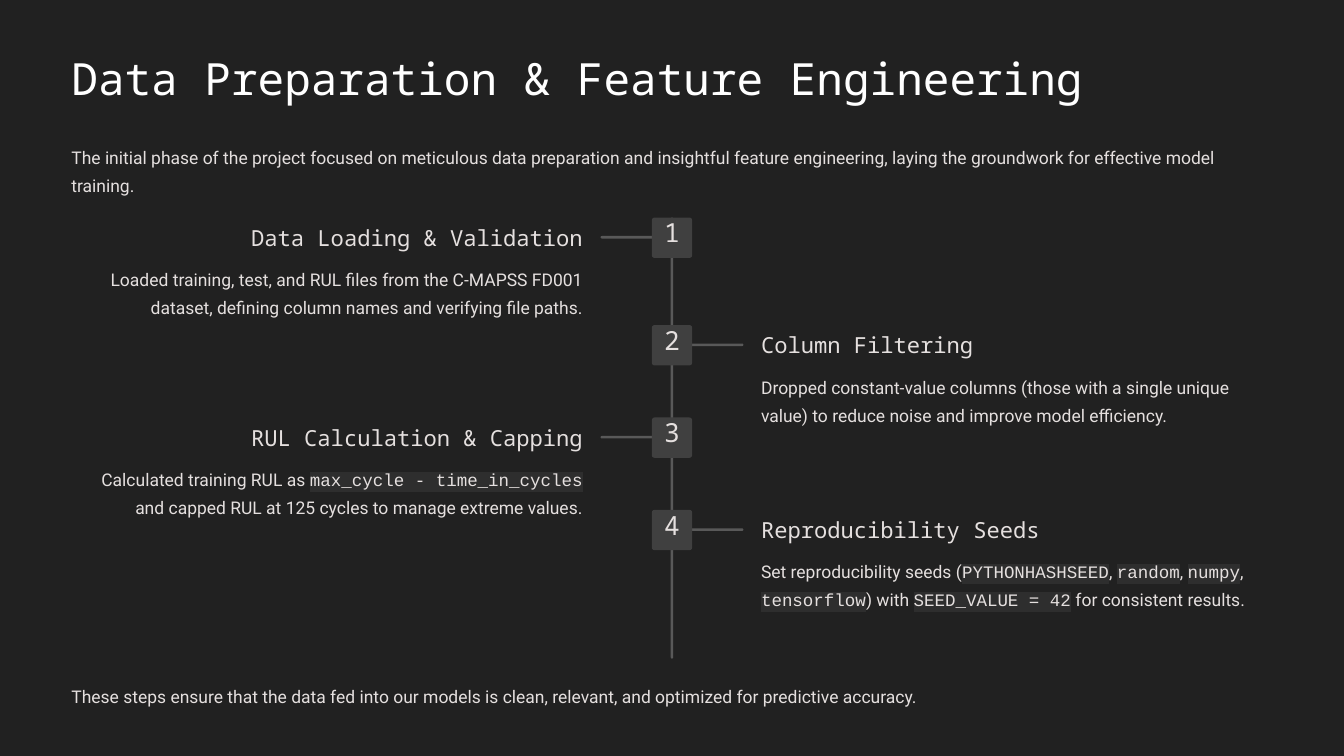
from lxml import etree
from pptx import Presentation
from pptx.dml.color import RGBColor
from pptx.enum.shapes import MSO_SHAPE
from pptx.enum.text import MSO_ANCHOR, MSO_AUTO_SIZE, PP_ALIGN
from pptx.oxml.ns import qn
from pptx.util import Inches, Pt

LEFT, CENTER, RIGHT = PP_ALIGN.LEFT, PP_ALIGN.CENTER, PP_ALIGN.RIGHT
TOP, NO_FIT = MSO_ANCHOR.TOP, MSO_AUTO_SIZE.NONE
ROUNDED = MSO_SHAPE.ROUNDED_RECTANGLE

COLORS = {"background": "212121", "title": "FFFFFF", "text": "E5E0DF",
          "line": "595959", "badge": "404040", "code": "2E2E2E"}
MONO, SANS, CODE = "Noto Sans Mono", "Roboto", "Courier New"

# Grid in inches: two columns mirrored about a central axis
WIDTH, HEIGHT = 16, 9
MARGIN = 0.85
CONTENT = WIDTH - 2 * MARGIN
COLUMN = 6.09
AXIS = WIDTH / 2
RIGHT_COLUMN = WIDTH - MARGIN - COLUMN
BADGE, BAR = 0.48, 0.03
STUB, STUB_GAP = 0.64, 0.21
SPINE_TOP, SPINE_LENGTH = 2.59, 5.25

# Top of each step, heading, description; backticks mark code
STEPS = [
    (2.59, "Data Loading & Validation",
     "Loaded training, test, and RUL files from the C-MAPSS FD001 dataset, "
     "defining column names and verifying file paths."),
    (3.87, "Column Filtering",
     "Dropped constant-value columns (those with a single unique value) "
     "to reduce noise and improve model efficiency."),
    (4.97, "RUL Calculation & Capping",
     "Calculated training RUL as `max_cycle - time_in_cycles` "
     "and capped RUL at 125 cycles to manage extreme values."),
    (6.07, "Reproducibility Seeds",
     "Set reproducibility seeds (`PYTHONHASHSEED`, `random`, `numpy`, "
     "`tensorflow`) with `SEED_VALUE = 42` for consistent results."),
]


def rgb(name):
    return RGBColor.from_string(COLORS[name])


def highlight(run, color):
    mark = etree.Element(qn("a:highlight"))
    etree.SubElement(mark, qn("a:srgbClr"), val=COLORS[color])
    run.font._rPr.find(qn("a:latin")).addprevious(mark)


def write(frame, text, font, size, spacing, align=LEFT, color="text", inset_top=0):
    frame.word_wrap = True
    frame.auto_size = NO_FIT
    frame.vertical_anchor = TOP
    frame.margin_left = frame.margin_right = frame.margin_bottom = 0
    frame.margin_top = Inches(inset_top)
    paragraph = frame.paragraphs[0]
    paragraph.alignment = align
    paragraph.line_spacing = Pt(spacing)
    for index, part in enumerate(text.split("`")):
        is_code = index % 2 == 1
        run = paragraph.add_run()
        run.text = part
        run.font.size = Pt(size)
        run.font.color.rgb = rgb(color)
        run.font.name = CODE if is_code else font
        if is_code:
            highlight(run, "code")


def add_text(slide, left, top, width, height, text, font, size, spacing, align=LEFT):
    box = slide.shapes.add_textbox(*map(Inches, (left, top, width, height)))
    write(box.text_frame, text, font, size, spacing, align)


def add_body(slide, left, top, width, height, text, align=LEFT):
    add_text(slide, left, top, width, height, text, SANS, 15, 24, align)


def add_block(slide, left, top, width, height, color, rounding):
    block = slide.shapes.add_shape(ROUNDED, *map(Inches, (left, top, width, height)))
    block.adjustments[0] = rounding
    block.shadow.inherit = False
    block.fill.solid()
    block.fill.fore_color.rgb = rgb(color)
    block.line.fill.background()
    return block


def add_title(slide, text):
    title = slide.shapes.title
    title.left, title.top = Inches(MARGIN), Inches(0.58)
    title.width, title.height = Inches(CONTENT), Inches(0.66)
    write(title.text_frame, text, MONO, 38, 47.5, color="title")


def add_step(slide, number, top, heading, description):
    # Odd steps sit left of the axis, even steps right
    if number % 2:
        column, align, stub = MARGIN, RIGHT, AXIS - STUB_GAP - STUB
    else:
        column, align, stub = RIGHT_COLUMN, LEFT, AXIS + STUB_GAP
    add_block(slide, stub, top + 0.22, STUB, BAR, "line", 0.5)
    badge = add_block(slide, AXIS - BADGE / 2, top, BADGE, BADGE, "badge", 0.067)
    write(badge.text_frame, str(number), MONO, 22.5, 22.5, CENTER, inset_top=0.04)
    add_text(slide, column, top + 0.07, COLUMN, 0.33, heading, MONO, 19, 23.5, align)
    add_body(slide, column, top + 0.53, COLUMN, 0.68, description, align)


def main():
    deck = Presentation()
    deck.slide_width, deck.slide_height = Inches(WIDTH), Inches(HEIGHT)
    slide = deck.slides.add_slide(deck.slide_layouts[5])
    slide.background.fill.solid()
    slide.background.fill.fore_color.rgb = rgb("background")

    # Title and introduction
    add_title(slide, "Data Preparation & Feature Engineering")
    add_body(slide, MARGIN, 1.67, CONTENT, 0.68,
             "The initial phase of the project focused on meticulous data preparation "
             "and insightful feature engineering, laying the groundwork for effective "
             "model training.")

    # Timeline
    add_block(slide, AXIS - BAR / 2, SPINE_TOP, BAR, SPINE_LENGTH, "line", 0.5)
    for number, step in enumerate(STEPS, start=1):
        add_step(slide, number, *step)

    # Conclusion
    add_body(slide, MARGIN, 8.08, CONTENT, 0.34,
             "These steps ensure that the data fed into our models is clean, relevant, "
             "and optimized for predictive accuracy.")
    deck.save("out.pptx")


if __name__ == "__main__":
    main()
